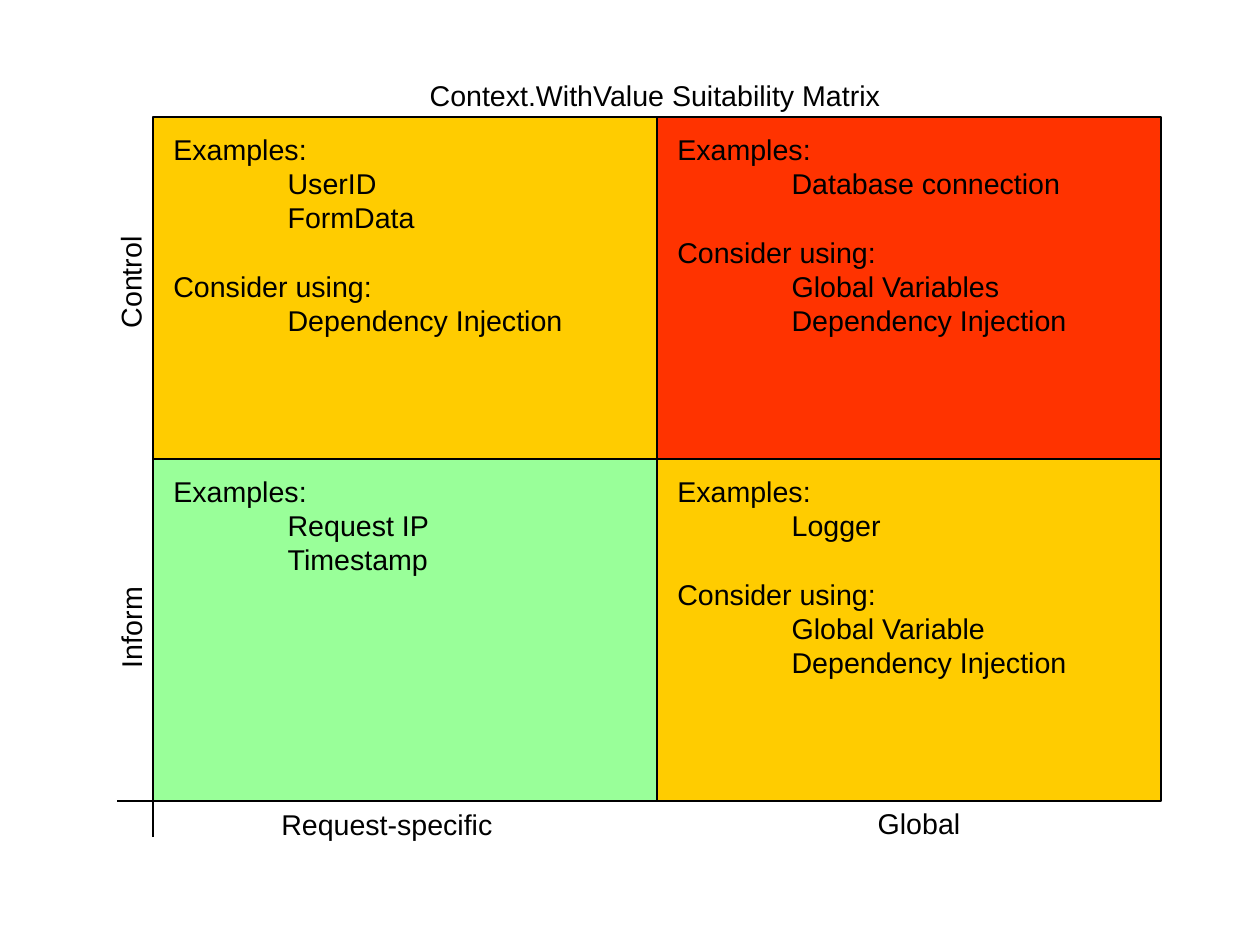
import pptx
import pptx.util
import pptx.dml.color
import pptx.enum.shapes
import pptx.enum.text
import pptx.oxml.ns
import lxml.etree

Inches, Pt = pptx.util.Inches, pptx.util.Pt
ALIGN = pptx.enum.text.PP_ALIGN
ANCHOR = pptx.enum.text.MSO_ANCHOR

# Content: (column, row, colour name, groups of heading and items)
TITLE = "Context.WithValue Suitability Matrix"
QUADRANTS = [
    (0, 1, "good", [("Examples:", ["Request IP", "Timestamp"])]),
    (1, 1, "fair", [("Examples:", ["Logger"]),
                    ("Consider using:", ["Global Variable", "Dependency Injection"])]),
    (0, 0, "fair", [("Examples:", ["UserID", "FormData"]),
                    ("Consider using:", ["Dependency Injection"])]),
    (1, 0, "poor", [("Examples:", ["Database connection"]),
                    ("Consider using:", ["Global Variables", "Dependency Injection"])]),
]
# Axis labels: text, left, top, width, rotation
LABELS = [
    ("Request-specific", 2.36, 7.01, 2.05, 0),
    ("Global", 7.58, 7.0, 0.92, 0),
    ("Inform", 0.68, 5.3, 0.91, 270),
    ("Control", 0.63, 2.28, 1, 270),
]

THEME = {
    "font": "Arial", "size": Pt(18), "line": Pt(1), "gap": Pt(21.5),
    "ink": "000000", "good": "99FF99", "fair": "FFCC00", "poor": "FF3300",
}

# The page and matrix sit on a metric grid, turned into inches here
PAGE_W, PAGE_H, LEFT, TOP, CELL_W, CELL_H, TICK = (
    size / 2.54 for size in (28, 21, 3.4, 2.6, 11.2, 7.6, 0.8))
RIGHT, BOTTOM = LEFT + 2 * CELL_W, TOP + 2 * CELL_H
PAD, INDENT, LABEL_H = 0.08, 1, 0.38


def color(name):
    return pptx.dml.color.RGBColor.from_string(THEME[name])


def style_line(line):
    line.color.rgb = color("ink")
    line.width = THEME["line"]


def style_para(para, text, align=ALIGN.LEFT):
    para.text = text
    para.alignment = align
    para.font.name = THEME["font"]
    para.font.size = THEME["size"]
    para.font.color.rgb = color("ink")


def style_frame(frame, wrap):
    frame.word_wrap = wrap
    frame.auto_size = pptx.enum.text.MSO_AUTO_SIZE.NONE
    frame.vertical_anchor = ANCHOR.TOP
    frame.margin_left = frame.margin_right = Inches(0.1)
    frame.margin_top = frame.margin_bottom = Inches(0.05)


def add_axis(page, x1, y1, x2, y2):
    axis = page.shapes.add_connector(
        pptx.enum.shapes.MSO_CONNECTOR.STRAIGHT,
        Inches(x1), Inches(y1), Inches(x2), Inches(y2))
    style_line(axis.line)
    lxml.etree.SubElement(axis._element.spPr, pptx.oxml.ns.qn("a:effectLst"))


def add_cell(page, column, row, fill):
    cell = page.shapes.add_shape(
        pptx.enum.shapes.MSO_SHAPE.RECTANGLE,
        Inches(LEFT + column * CELL_W), Inches(TOP + row * CELL_H),
        Inches(CELL_W), Inches(CELL_H))
    cell.shadow.inherit = False
    cell.fill.solid()
    cell.fill.fore_color.rgb = color(fill)
    style_line(cell.line)


def add_groups(page, column, row, groups):
    box = page.shapes.add_textbox(
        Inches(LEFT + column * CELL_W + PAD), Inches(TOP + row * CELL_H + PAD),
        Inches(3.86), Inches(2.52))
    frame = box.text_frame
    style_frame(frame, True)
    for number, (heading, items) in enumerate(groups):
        para = frame.add_paragraph() if number else frame.paragraphs[0]
        style_para(para, heading)
        if number:
            para.space_before = THEME["gap"]
        for item in items:
            para = frame.add_paragraph()
            style_para(para, item)
            para._p.get_or_add_pPr().set("marL", str(Inches(INDENT)))


def main():
    deck = pptx.Presentation()
    deck.slide_width, deck.slide_height = Inches(PAGE_W), Inches(PAGE_H)
    page = deck.slides.add_slide(deck.slide_layouts[5])

    # Title, with a little spare width so that it stays on one line
    title = page.shapes.title
    title.left, title.top = Inches(3.63), Inches(0.63)
    title.width, title.height = Inches(4.2), Inches(LABEL_H)
    style_frame(title.text_frame, False)
    style_para(title.text_frame.paragraphs[0], TITLE, ALIGN.CENTER)

    # Axes
    add_axis(page, LEFT, BOTTOM + TICK, LEFT, TOP)
    add_axis(page, LEFT - TICK, BOTTOM, RIGHT, BOTTOM)

    # Quadrants
    for column, row, fill, _ in QUADRANTS:
        add_cell(page, column, row, fill)

    # Axis labels
    for text, left, top, width, rotation in LABELS:
        label = page.shapes.add_textbox(
            Inches(left), Inches(top), Inches(width), Inches(LABEL_H))
        label.rotation = rotation
        style_frame(label.text_frame, False)
        style_para(label.text_frame.paragraphs[0], text, ALIGN.CENTER)

    # Quadrant texts
    for column, row, _, groups in QUADRANTS:
        add_groups(page, column, row, groups)

    deck.save("out.pptx")


if __name__ == "__main__":
    main()
